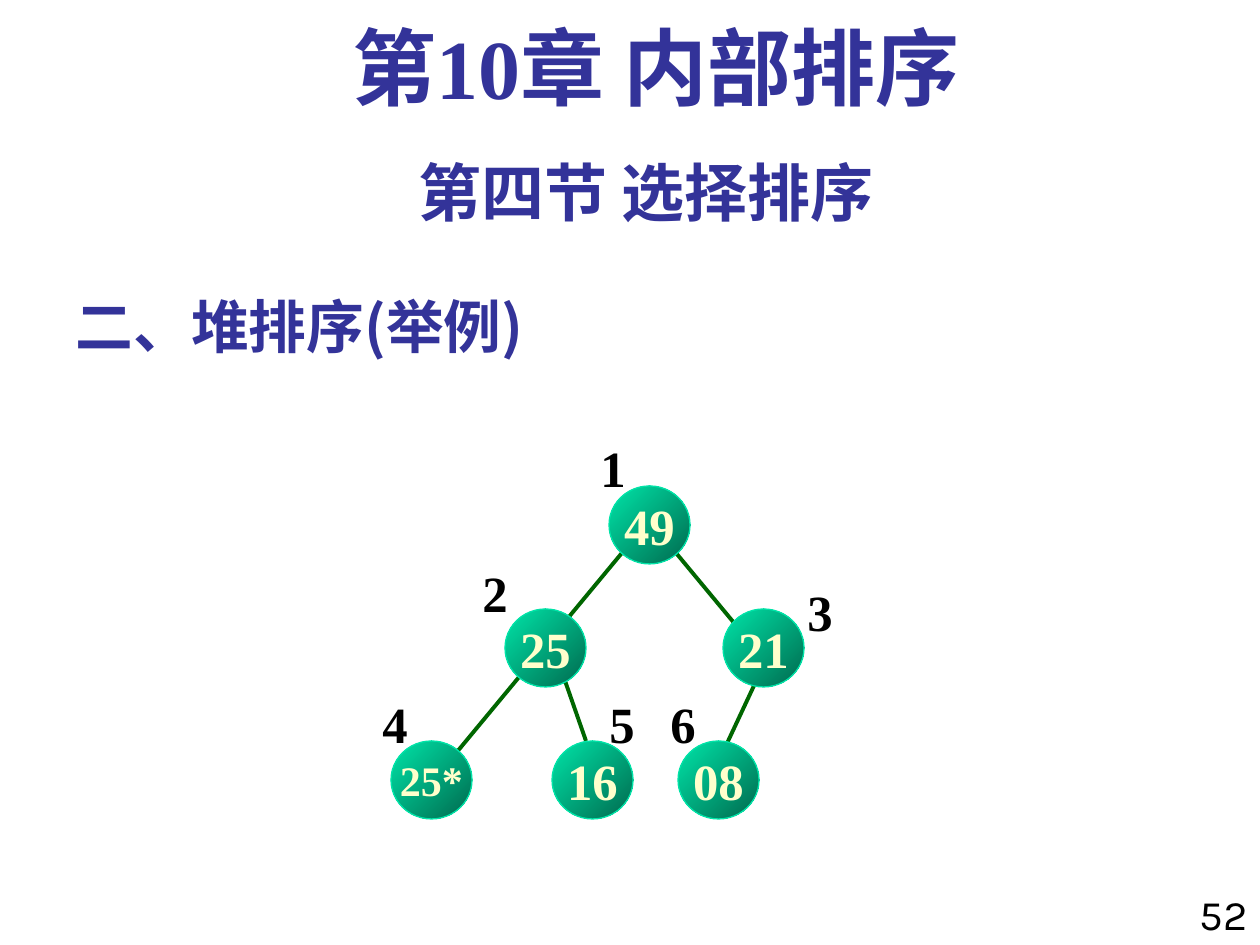
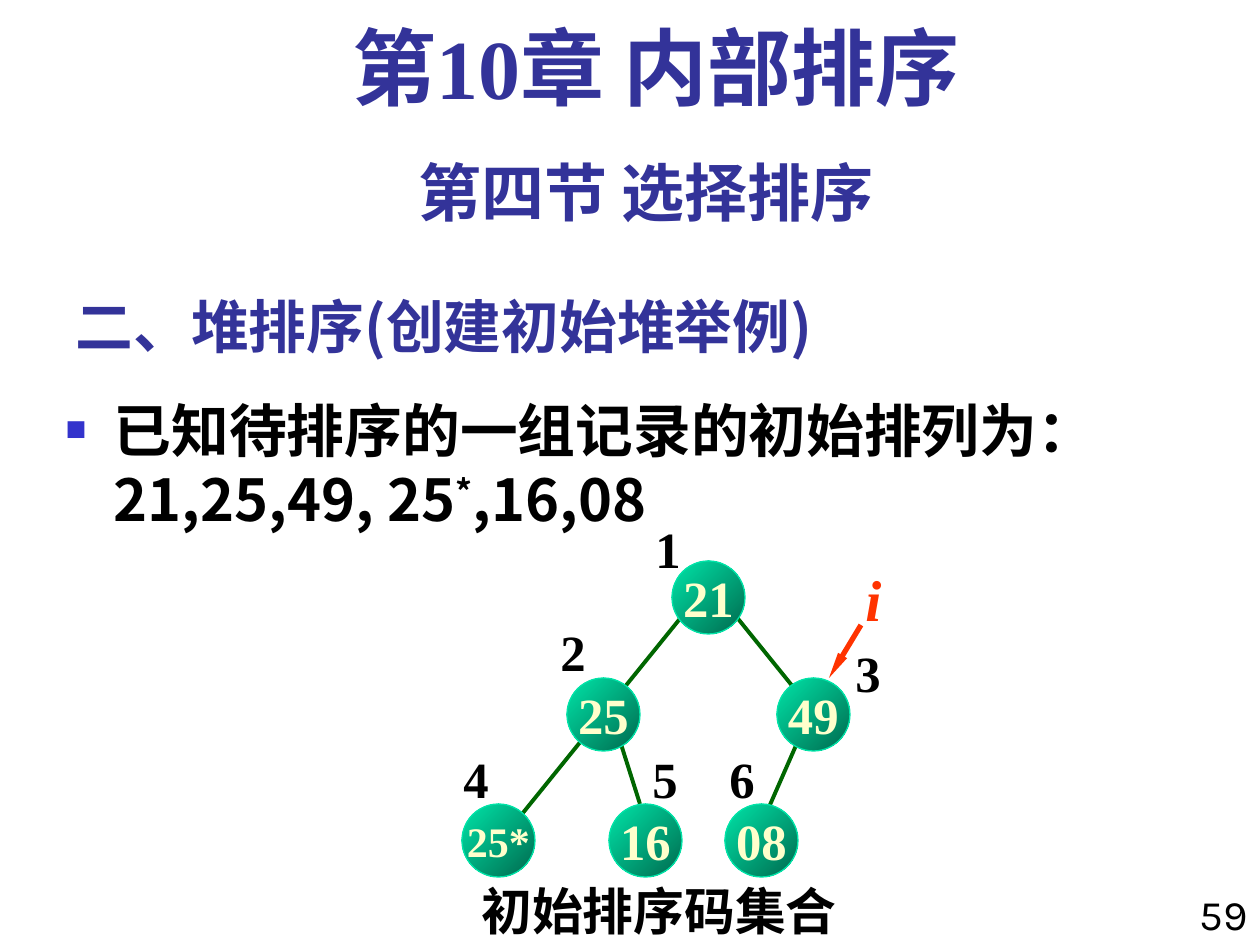
"""Build two heap sort slides, each with a numbered binary tree."""
from lxml import etree
from pptx import Presentation
from pptx.dml.color import RGBColor
from pptx.enum.shapes import MSO_CONNECTOR as Connector, MSO_SHAPE as Shape
from pptx.enum.text import MSO_ANCHOR as Anchor, MSO_AUTO_SIZE as AutoSize, PP_ALIGN as Align
from pptx.oxml.ns import qn
from pptx.util import Emu, Pt

COLORS = {
    "heading": "333399", "text": "000000", "bullet": "3333CC", "edge": "006600",
    "node_light": "00E4A8", "node_dark": "006A4E", "node_text": "FFFFCC", "pointer": "FF3300",
}
CJK, SERIF, SANS = "Noto Sans CJK SC", "Times New Roman", "Karla"
LABEL_SIZE = (50, 73)


def px(length):
    """Convert pixels at 126 per inch to EMU."""
    return Emu(round(length * 914400 / 126))


def rgb(name):
    """Look up a palette color."""
    return RGBColor.from_string(COLORS[name])


def place(shape, left, top, width, height):
    """Move and size a shape in pixels."""
    shape.left, shape.top, shape.width, shape.height = map(px, (left, top, width, height))


def add_run(paragraph, text, size, font, color, bold=True, italic=False, baseline=0):
    """Append one formatted run."""
    run = paragraph.add_run()
    run.text = text
    run.font.size, run.font.name = Pt(size), font
    run.font.bold, run.font.italic = bold, italic
    run.font.color.rgb = rgb(color)
    properties = run.font._element
    etree.SubElement(properties, qn("a:ea"), typeface=CJK)
    if baseline:
        properties.set("baseline", str(baseline * 1000))


def start_text(shape, align=Align.LEFT, anchor=Anchor.TOP, wrap=True):
    """Prepare a text frame and return its first paragraph."""
    frame = shape.text_frame
    frame.auto_size, frame.word_wrap, frame.vertical_anchor = AutoSize.NONE, wrap, anchor
    paragraph = frame.paragraphs[0]
    paragraph.alignment, paragraph.space_before = align, Pt(0)
    return paragraph


def add_text(shapes, box, text, size, font, color="text", align=Align.LEFT,
             wrap=False, spacing=None, **style):
    """Add a text box holding one run."""
    paragraph = start_text(shapes.add_textbox(*map(px, box)), align, wrap=wrap)
    if spacing:
        paragraph.line_spacing = spacing
    add_run(paragraph, text, size, font, color, **style)


def add_line(shapes, ends, color, width, arrow=False):
    """Add a straight line, optionally ending in a slim arrowhead."""
    line = shapes.add_connector(Connector.STRAIGHT, *map(px, ends))
    line.line.color.rgb, line.line.width = rgb(color), Pt(width)
    if arrow:
        etree.SubElement(line.line._get_or_add_ln(), qn("a:tailEnd"),
                         type="triangle", w="sm", len="lg")
    etree.SubElement(line._element.spPr, qn("a:effectLst"))


def add_node(shapes, key, left, top, size):
    """Add a shaded tree node with its key."""
    node = shapes.add_shape(Shape.OVAL, *map(px, (left, top, *size)))
    node.shadow.inherit = False
    node.fill.gradient()
    node.fill.gradient_angle = 315
    for stop, color in zip(node.fill.gradient_stops, ("node_light", "node_dark")):
        stop.color.rgb = rgb(color)
    node.line.color.rgb, node.line.width = rgb("node_light"), Pt(0.75)
    paragraph = start_text(node, Align.CENTER, Anchor.MIDDLE, wrap=False)
    add_run(paragraph, key, 24 if len(key) > 2 else 29, SERIF, "node_text")


def add_tree(slide, edges, nodes, node_size, labels):
    """Add a grouped tree: edges behind nodes, then position numbers."""
    tree = slide.shapes.add_group_shape().shapes
    for ends in edges:
        add_line(tree, ends, "edge", 2.25)
    for key, left, top in nodes:
        add_node(tree, key, left, top, node_size)
    for number, corner in enumerate(labels, 1):
        add_text(tree, (*corner, *LABEL_SIZE), str(number), 29, SERIF)
    return tree


def add_topic(prs, layout, topic, page):
    """Add a slide with the shared headings, its topic title and page number."""
    slide = prs.slides.add_slide(prs.slide_layouts[layout])
    title = slide.shapes.title
    place(title, 63, 273, 788, 93)
    add_run(start_text(title, anchor=Anchor.BOTTOM), topic, 33, CJK, "heading")
    add_text(slide.shapes, (1176, 882, 84, 73), page, 24, SANS,
             align=Align.RIGHT, wrap=True, bold=False)
    add_text(slide.shapes, (63, 147, 1166, 88), "第四节 选择排序".replace(" ", " "), 36, SANS,
             "heading", Align.CENTER, wrap=True)
    add_text(slide.shapes, (84, 21, 1144, 105), "第10章 内部排序", 48, SERIF,
             "heading", Align.CENTER, wrap=True, spacing=0.9)
    return slide


def fill_records(body):
    """Write the bulleted list of initial records."""
    place(body, 53, 388, 1207, 557)
    paragraph = start_text(body)
    properties = paragraph._p.get_or_add_pPr()
    properties.set("marL", str(px(48)))
    properties.set("indent", str(px(-48)))
    bullet_color = etree.SubElement(properties, qn("a:buClr"))
    etree.SubElement(bullet_color, qn("a:srgbClr"), val=COLORS["bullet"])
    etree.SubElement(properties, qn("a:buSzPct"), val="60000")
    etree.SubElement(properties, qn("a:buChar"), char="■")
    for text, baseline in (("已知待排序的一组记录的初始排列为：21,25,49, 25", 0),
                           ("*", 30), (",16,08", 0)):
        add_run(paragraph, text, 33, CJK, "text", baseline=baseline)


def build_heap_example(prs):
    """Build the slide with the finished heap."""
    slide = add_topic(prs, 5, "二、堆排序(举例)", "52")
    add_tree(
        slide,
        edges=[(759, 675, 723, 752), (667, 542, 759, 653),
               (563, 675, 586, 741), (631, 542, 447, 764)],
        nodes=[("49", 609, 486), ("25", 505, 609), ("21", 723, 609),
               ("25*", 391, 741), ("16", 552, 741), ("08", 678, 741)],
        node_size=(81, 78),
        labels=[(588, 431), (470, 556), (795, 575), (370, 687), (597, 687), (658, 687)],
    )


def build_initial_heap(prs):
    """Build the slide with the unsorted tree and its pointer."""
    slide = add_topic(prs, 1, "二、堆排序(创建初始堆举例)", "59")
    fill_records(slide.placeholders[1])
    tree = add_tree(
        slide,
        edges=[(798, 741, 766, 814), (620, 741, 640, 804),
               (735, 615, 819, 719), (683, 615, 514, 824)],
        nodes=[("21", 672, 561), ("25", 567, 678), ("49", 777, 678),
               ("25*", 462, 804), ("16", 609, 804), ("08", 725, 804)],
        node_size=(73, 73),
        labels=[(643, 512), (548, 615), (843, 636), (451, 742), (640, 742), (717, 742)],
    )
    add_line(tree, (861, 625, 829, 678), "pointer", 3, arrow=True)
    add_text(tree, (853, 558, 42, 82), "i", 33, SERIF, "pointer", italic=True)
    add_text(slide.shapes, (469, 874, 382, 73), "初始排序码集合", 29, SERIF)


def main():
    """Create and save the presentation."""
    prs = Presentation()
    prs.slide_width, prs.slide_height = px(1260), px(945)
    build_heap_example(prs)
    build_initial_heap(prs)
    prs.save("out.pptx")


if __name__ == "__main__":
    main()
